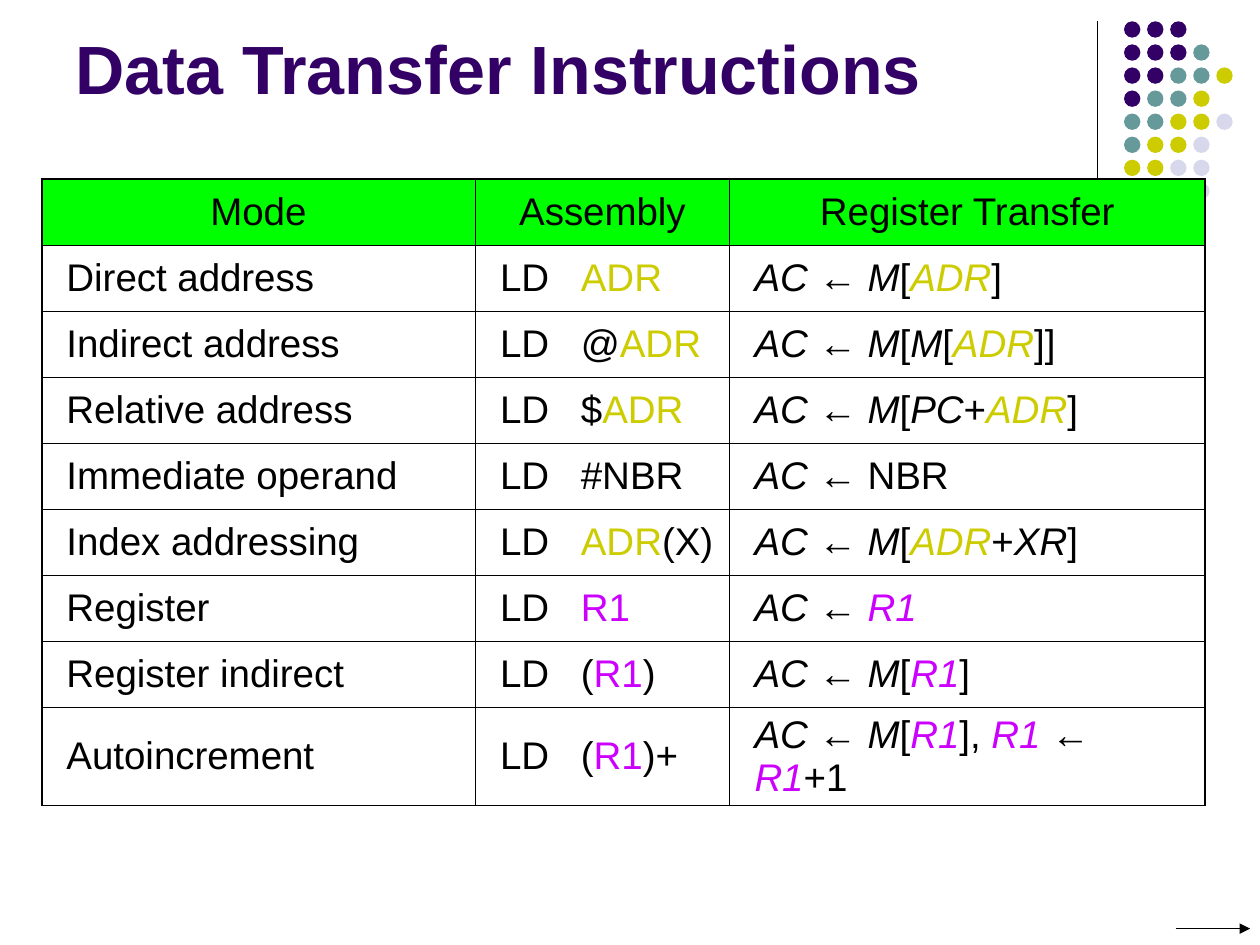
from lxml.etree import SubElement
from pptx import Presentation
from pptx.dml.color import RGBColor
from pptx.enum.shapes import MSO_CONNECTOR, MSO_SHAPE
from pptx.enum.text import MSO_ANCHOR, MSO_AUTO_SIZE, PP_ALIGN
from pptx.oxml.ns import qn
from pptx.util import Cm, Pt

COLORS = {
    "text": "000000",
    "header": "00FF00",
    "address": "CCCC00",
    "register": "CC00FF",
    "purple": "330066",
    "teal": "669999",
    "olive": "CCCC00",
    "lavender": "D8D8EC",
}
FONT = "Arial"
DOT_COLORS = {"P": "purple", "T": "teal", "O": "olive", "L": "lavender"}
DOT_ROWS = ["PPP", "PPPT", "PPTTO", "PTTO", "TTOOL", "TOOL", "OOLL", " L L"]

# Operands with their own colour, and symbols set in italics in transfers
OPERAND_COLORS = {"ADR": "address", "R1": "register"}
SYMBOLS = {"AC", "M", "PC", "XR", "ADR", "R1"}

HEADERS = ["Mode", "Assembly", "Register Transfer"]
COL_WIDTHS = [8.74, 5.13, 9.58]
ROW_HEIGHT = 1.33
# Mode, assembly runs, register transfer runs
MODES = [
    ("Direct address", ["LD\t", "ADR"],
     ["AC", " ← ", "M", "[", "ADR", "]"]),
    ("Indirect address", ["LD\t@", "ADR"],
     ["AC", " ← ", "M", "[", "M", "[", "ADR", "]]"]),
    ("Relative address", ["LD\t$", "ADR"],
     ["AC", " ← ", "M", "[", "PC", "+", "ADR", "]"]),
    ("Immediate operand", ["LD\t#NBR"],
     ["AC", " ← NBR"]),
    ("Index addressing", ["LD\t", "ADR", "(X)"],
     ["AC", " ← ", "M", "[", "ADR", "+", "XR", "]"]),
    ("Register", ["LD\t", "R1"],
     ["AC", " ← ", "R1"]),
    ("Register indirect", ["LD\t(", "R1", ")"],
     ["AC", " ← ", "M", "[", "R1", "]"]),
    ("Autoincrement", ["LD\t(", "R1", ")+"],
     ["AC", " ← ", "M", "[", "R1", "], ", "R1", " ← ", "R1", "+1"]),
]


def rgb(name):
    return RGBColor.from_string(COLORS[name])


def add_run(p, text, size, color="text", bold=False, italic=False):
    r = p.add_run()
    r.text = text
    r.font.name = FONT
    r.font.size = Pt(size)
    r.font.bold = bold
    r.font.italic = italic
    r.font.color.rgb = rgb(color)


def add_line(s, x1, y1, x2, y2, arrow=False):
    line = s.shapes.add_connector(MSO_CONNECTOR.STRAIGHT, Cm(x1), Cm(y1), Cm(x2), Cm(y2))
    line.line.color.rgb = rgb("text")
    line.line.width = Pt(0.75)
    sp_pr = line._element.spPr
    if arrow:
        SubElement(sp_pr.find(qn("a:ln")), qn("a:tailEnd"), type="triangle")
    SubElement(sp_pr, qn("a:effectLst"))


def add_dots(s, left, top, pitch, size):
    group = s.shapes.add_group_shape()
    for row, codes in enumerate(DOT_ROWS):
        for col, code in enumerate(codes):
            if code == " ":
                continue
            sp = group.shapes.add_shape(
                MSO_SHAPE.OVAL, Cm(left + col * pitch), Cm(top + row * pitch), Cm(size), Cm(size))
            sp.shadow.inherit = False
            sp.fill.solid()
            sp.fill.fore_color.rgb = rgb(DOT_COLORS[code])
            sp.line.fill.background()


def add_title(s, text):
    title = s.shapes.title
    title.left, title.top, title.width, title.height = Cm(1.27), Cm(0.33), Cm(20.96), Cm(1.98)
    tf = title.text_frame
    tf.word_wrap = True
    tf.auto_size = MSO_AUTO_SIZE.NONE
    tf.vertical_anchor = MSO_ANCHOR.BOTTOM
    p = tf.paragraphs[0]
    p.alignment = PP_ALIGN.LEFT
    add_run(p, text, 39, "purple", bold=True)


def set_borders(cell, outer):
    """Draw all four sides, thicker on the sides named in outer."""
    tc_pr = cell._tc.get_or_add_tcPr()
    for side in "LRTB":
        width = Pt(1.08 if side in outer else 0.45)
        ln = SubElement(tc_pr, qn(f"a:ln{side}"), w=str(width))
        fill = SubElement(ln, qn("a:solidFill"))
        SubElement(fill, qn("a:srgbClr"), val=COLORS["text"])


def add_tab_stop(p, position):
    tabs = SubElement(p._p.get_or_add_pPr(), qn("a:tabLst"))
    SubElement(tabs, qn("a:tab"), pos=str(Cm(position)), algn="l")


def fill_cell(cell, runs, header, italic_symbols):
    cell.vertical_anchor = MSO_ANCHOR.MIDDLE
    p = cell.text_frame.paragraphs[0]
    if header:
        cell.fill.solid()
        cell.fill.fore_color.rgb = rgb("header")
        p.alignment = PP_ALIGN.CENTER
    else:
        cell.fill.background()
        cell.margin_left = Cm(0.5)
        if "\t" in runs[0]:
            add_tab_stop(p, 1.63)
    for text in runs:
        add_run(p, text, 22, OPERAND_COLORS.get(text, "text"),
                italic=italic_symbols and text in SYMBOLS)


def add_mode_table(s, left, top):
    rows = [[[h] for h in HEADERS]] + [[[mode], asm, move] for mode, asm, move in MODES]
    last_row, last_col = len(rows) - 1, len(HEADERS) - 1
    frame = s.shapes.add_table(len(rows), len(HEADERS), Cm(left), Cm(top),
                               Cm(sum(COL_WIDTHS)), Cm(ROW_HEIGHT * len(rows)))
    table = frame.table
    table.first_row = table.horz_banding = False
    for column, width in zip(table.columns, COL_WIDTHS):
        column.width = Cm(width)
    for i, row in enumerate(rows):
        table.rows[i].height = Cm(ROW_HEIGHT)
        for j, runs in enumerate(row):
            edges = {"T": i == 0, "B": i == last_row, "L": j == 0, "R": j == last_col}
            cell = table.cell(i, j)
            set_borders(cell, [side for side, is_outer in edges.items() if is_outer])
            fill_cell(cell, runs, header=i == 0, italic_symbols=j == last_col)


def main():
    prs = Presentation()
    prs.slide_width, prs.slide_height = Cm(25.4), Cm(19.05)
    s = prs.slides.add_slide(prs.slide_layouts[5])

    # Corner decoration
    add_line(s, 22.12, 0.43, 22.12, 4.65)
    add_dots(s, 22.66, 0.43, 0.465, 0.33)

    # Title and table
    add_title(s, "Data Transfer Instructions")
    add_mode_table(s, 0.84, 3.61)

    # Arrow to the next slide
    add_line(s, 23.7, 18.72, 25.2, 18.72, arrow=True)

    prs.save("out.pptx")


if __name__ == "__main__":
    main()
